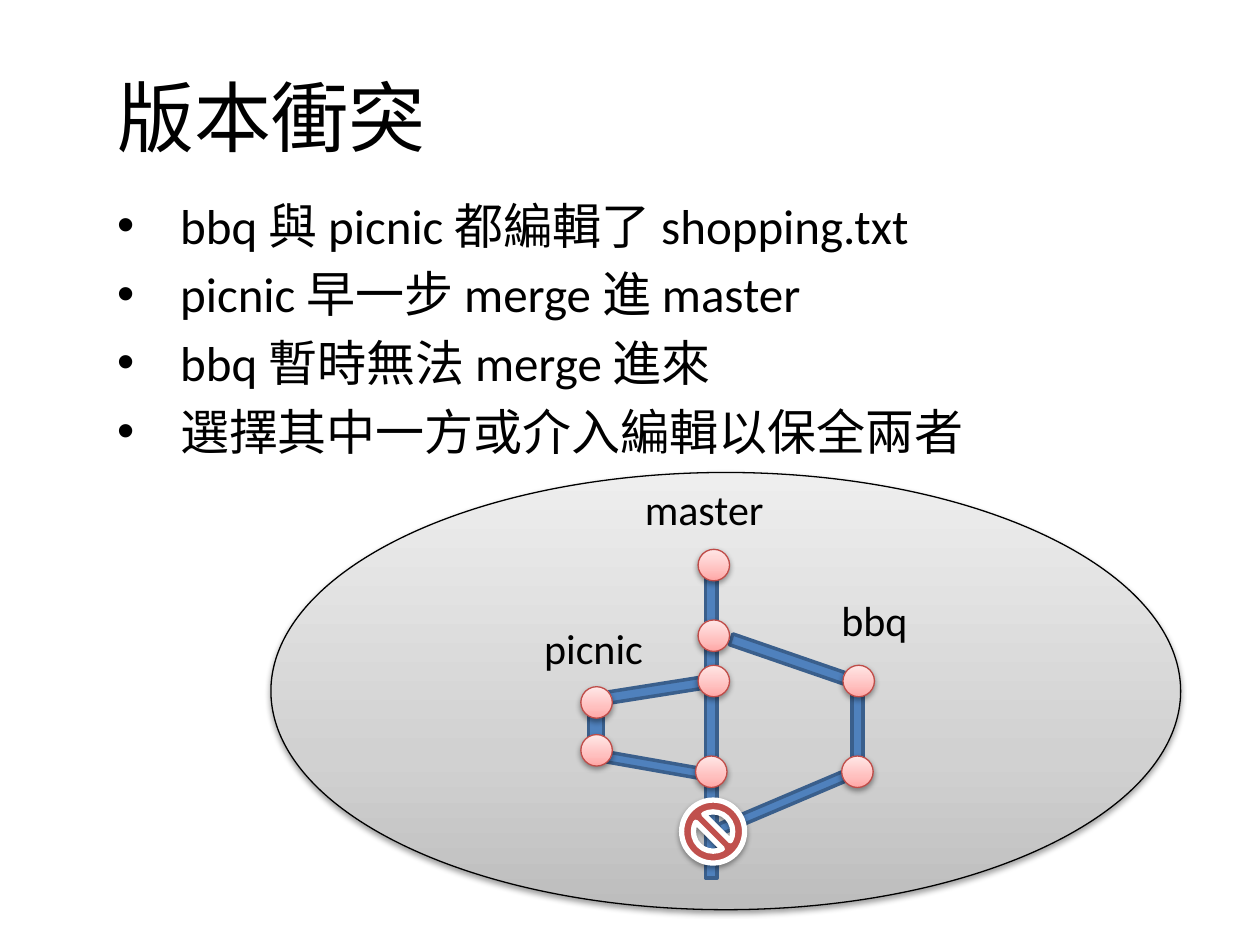
from typing import NamedTuple

from lxml.etree import SubElement
from pptx import Presentation
from pptx.dml.color import RGBColor
from pptx.enum.shapes import MSO_SHAPE as Preset
from pptx.enum.text import MSO_AUTO_SIZE as AutoSize, PP_ALIGN as Align
from pptx.oxml.ns import qn
from pptx.shapes.autoshape import Shape
from pptx.slide import Slide
from pptx.util import Inches, Pt

BLACK = RGBColor(0x00, 0x00, 0x00)
WHITE = RGBColor(0xFF, 0xFF, 0xFF)
RED = RGBColor(0xC0, 0x50, 0x4D)
DOT_LINE = RGBColor(0xBF, 0x4C, 0x48)
BAR_FILL = RGBColor(0x4F, 0x81, 0xBD)
BAR_LINE = RGBColor(0x3A, 0x5F, 0x8C)
GRAY_STOPS = (
    (0, RGBColor(0xBD, 0xBD, 0xBD)),
    (35, RGBColor(0xD1, 0xD1, 0xD1)),
    (100, RGBColor(0xEE, 0xEE, 0xEE)),
)
PINK_STOPS = (
    (0, RGBColor(0xFF, 0xA6, 0xA5)),
    (35, RGBColor(0xFF, 0xC0, 0xBF)),
    (100, RGBColor(0xFF, 0xE7, 0xE7)),
)
DOT_SIZE = 0.25


class Box(NamedTuple):
    left: float
    top: float
    width: float
    height: float


class Branch(NamedTuple):
    box: Box
    rotation: float = 0


class Commit(NamedTuple):
    left: float
    top: float


class Label(NamedTuple):
    text: str
    box: Box


BULLETS = (
    "bbq 與 picnic 都編輯了 shopping.txt",
    "picnic 早一步 merge 進 master",
    "bbq 暫時無法 merge 進來",
    "選擇其中一方或介入編輯以保全兩者",
)
BRANCHES = (
    Branch(Box(5.6, 4.5, 0.09, 2.47)),
    Branch(Box(6.24, 4.73, 0.09, 1.02), 289),
    Branch(Box(6.76, 5.34, 0.09, 0.85)),
    Branch(Box(6.19, 5.8, 0.08, 1.12), 247),
    Branch(Box(5.14, 4.97, 0.09, 1.02), 81),
    Branch(Box(4.67, 5.53, 0.12, 0.47)),
    Branch(Box(5.13, 5.59, 0.08, 0.96), 100),
)
COMMITS = (
    Commit(5.54, 4.36),
    Commit(5.54, 4.92),
    Commit(5.54, 5.28),
    Commit(5.52, 6),
    Commit(6.69, 5.28),
    Commit(6.68, 6),
    Commit(4.61, 5.45),
    Commit(4.61, 5.83),
)
LABELS = (
    Label("master", Box(5.02, 3.79, 1.16, 0.5)),
    Label("bbq", Box(6.58, 4.67, 0.76, 0.5)),
    Label("picnic", Box(4.22, 4.89, 1.02, 0.5)),
)


def to_lengths(box: Box) -> list[Inches]:
    return [Inches(value) for value in box]


def add_preset(slide: Slide, preset: Preset, box: Box, line: RGBColor, width: float) -> Shape:
    shape = slide.shapes.add_shape(preset, *to_lengths(box))
    shape.shadow.inherit = False
    shape.line.color.rgb = line
    shape.line.width = Pt(width)
    return shape


def fill_solid(shape: Shape, color: RGBColor) -> None:
    shape.fill.solid()
    shape.fill.fore_color.rgb = color


def fill_gradient(shape: Shape, stops: tuple) -> None:
    shape.fill.gradient()
    shape.fill.gradient_angle = 90
    stop_list = shape.element.spPr.find(qn("a:gradFill")).find(qn("a:gsLst"))
    stop_list.clear()
    for position, color in stops:
        stop = SubElement(stop_list, qn("a:gs"), pos=str(position * 1000))
        SubElement(stop, qn("a:srgbClr"), val=str(color))


def add_shadow(shape: Shape) -> None:
    effects = shape.element.spPr.find(qn("a:effectLst"))
    shadow = SubElement(effects, qn("a:outerShdw"), blurRad="40000", dist="20000",
                        dir="5400000", rotWithShape="0")
    color = SubElement(shadow, qn("a:srgbClr"), val=str(BLACK))
    SubElement(color, qn("a:alpha"), val="38000")


def add_gradient_ellipse(slide: Slide, box: Box, stops: tuple, line: RGBColor) -> None:
    shape = add_preset(slide, Preset.OVAL, box, line, 0.75)
    fill_gradient(shape, stops)
    add_shadow(shape)


def add_branch(slide: Slide, branch: Branch) -> None:
    shape = add_preset(slide, Preset.RECTANGLE, branch.box, BAR_LINE, 2)
    fill_solid(shape, BAR_FILL)
    shape.rotation = branch.rotation


def add_label(slide: Slide, label: Label) -> None:
    frame = slide.shapes.add_textbox(*to_lengths(label.box)).text_frame
    frame.word_wrap = False
    frame.auto_size = AutoSize.SHAPE_TO_FIT_TEXT
    write_paragraph(frame.paragraphs[0], label.text, 24, "Calibri")


def write_paragraph(paragraph, text: str, size: float, font_name: str) -> None:
    paragraph.text = text
    paragraph.font.size = Pt(size)
    paragraph.font.name = font_name
    paragraph.font.color.rgb = BLACK


def place(shape: Shape, box: Box) -> None:
    shape.left, shape.top, shape.width, shape.height = to_lengths(box)


def write_title(slide: Slide) -> None:
    title = slide.shapes.title
    place(title, Box(0.83, 0.29, 8.83, 1.25))
    paragraph = title.text_frame.paragraphs[0]
    write_paragraph(paragraph, "版本衝突", 44, "Noto Sans CJK SC")
    paragraph.alignment = Align.LEFT


def write_body(slide: Slide) -> None:
    body = slide.placeholders[1]
    place(body, Box(0.83, 1.5, 8.83, 4.7))
    frame = body.text_frame
    frame.text = "\n".join(BULLETS)
    for paragraph, text in zip(frame.paragraphs, BULLETS):
        write_paragraph(paragraph, text, 28, "Calibri")
        properties = paragraph._p.get_or_add_pPr()
        properties.set("marL", str(Inches(0.5)))
        properties.set("indent", str(-Inches(0.5)))


def main() -> None:
    presentation = Presentation()
    presentation.slide_width = Inches(10)
    presentation.slide_height = Inches(7.5)
    slide = presentation.slides.add_slide(presentation.slide_layouts[1])
    write_title(slide)
    write_body(slide)
    add_gradient_ellipse(slide, Box(2.15, 3.75, 7.22, 3.47), GRAY_STOPS, BLACK)
    for branch in BRANCHES:
        add_branch(slide, branch)
    for commit in COMMITS:
        add_gradient_ellipse(slide, Box(*commit, DOT_SIZE, DOT_SIZE), PINK_STOPS, DOT_LINE)
    conflict = add_preset(slide, Preset.NO_SYMBOL, Box(5.41, 6.35, 0.5, 0.5), WHITE, 3)
    fill_solid(conflict, RED)
    add_shadow(conflict)
    for label in LABELS:
        add_label(slide, label)
    presentation.save("out.pptx")


if __name__ == "__main__":
    main()
